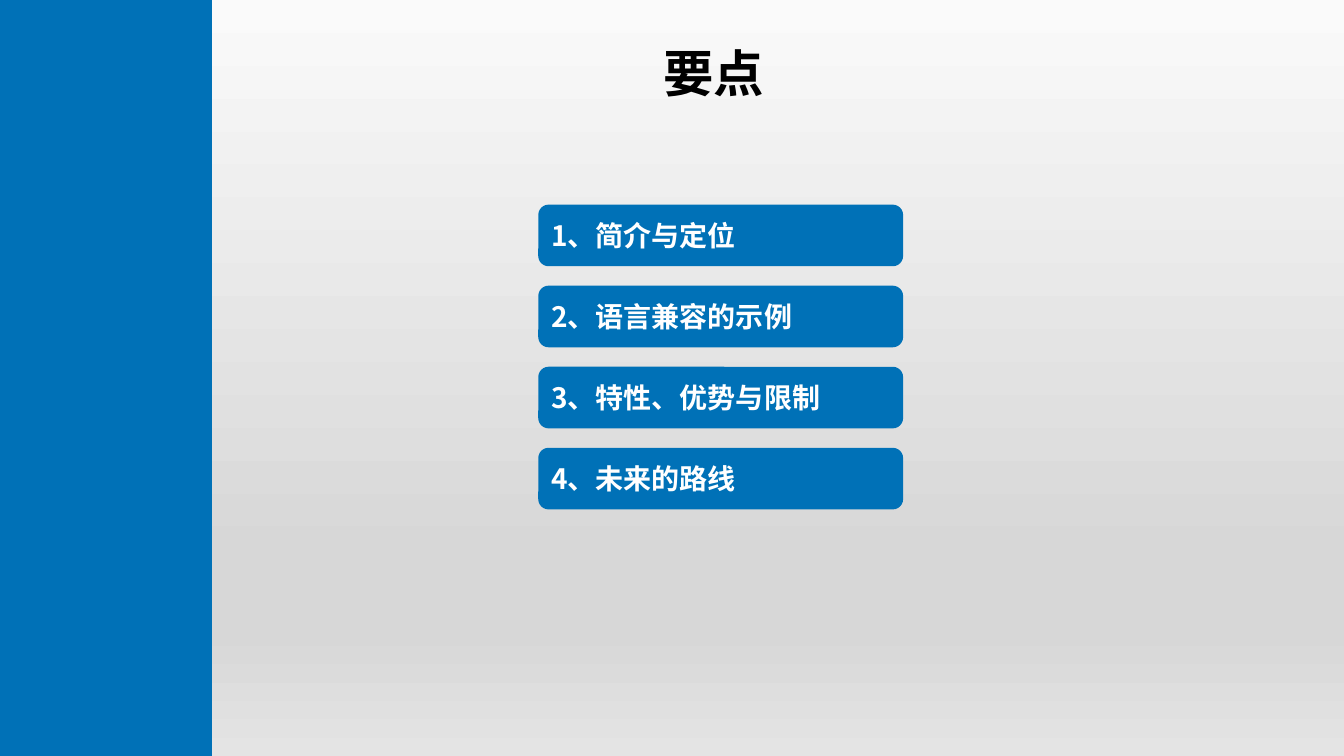
from copy import deepcopy
from dataclasses import dataclass

from lxml.etree import SubElement as Sub
from pptx import Presentation
from pptx.dml.color import RGBColor as Rgb
from pptx.enum.shapes import MSO_SHAPE as Kind
from pptx.enum.text import MSO_ANCHOR as Anchor, MSO_AUTO_SIZE as Auto, PP_ALIGN as Align
from pptx.oxml.ns import qn
from pptx.util import Pt


@dataclass(frozen=True)
class Theme:
    font: str = "Noto Sans CJK SC"
    blue: str = "0071B7"
    black: str = "000000"
    white: str = "FFFFFF"
    fade: tuple = ((0, "FAFAFA"), (0.74, "D7D7D7"), (0.83, "D7D7D7"), (1, "E4E4E4"))
    head: int = 36
    item: int = 20


def write(shape, text, *, font, size, color, align=Align.LEFT):
    frame = shape.text_frame
    frame.word_wrap = True
    frame.auto_size = Auto.NONE
    frame.vertical_anchor = Anchor.MIDDLE
    para = frame.paragraphs[0]
    para.alignment = align
    run = para.add_run()
    run.text = text
    run.font.name = font
    run.font.size = Pt(size)
    run.font.bold = True
    run.font.color.rgb = Rgb.from_string(color)
    Sub(run.font._element, qn("a:ea"), typeface=font)


class Deck:
    def __init__(self, theme):
        self.theme = theme
        self.file = Presentation()
        self.file.slide_width, self.file.slide_height = Pt(960), Pt(540)
        self.slide = self.file.slides.add_slide(self.file.slide_layouts[5])

    def ground(self):
        fill = self.slide.background.fill
        fill.solid()
        fill.fore_color.rgb = Rgb.from_string(self.theme.blue)

    def shape(self, kind, *box):
        shape = self.slide.shapes.add_shape(kind, *map(Pt, box))
        shape.shadow.inherit = False
        shape.line.fill.background()
        return shape

    def panel(self, *box):
        panel = self.shape(Kind.RECTANGLE, *box)
        fill = panel.fill
        fill.gradient()
        fill.gradient_angle = 270
        stops = panel._element.spPr.find(".//" + qn("a:gsLst"))
        for _ in self.theme.fade[2:]:
            stops.append(deepcopy(stops[0]))
        for stop, (place, color) in zip(fill.gradient_stops, self.theme.fade):
            stop.position = place
            stop.color.rgb = Rgb.from_string(color)
        self.slide.shapes._spTree.insert(2, panel._element)

    def title(self, text, *box):
        title = self.slide.shapes.title
        title.left, title.top, title.width, title.height = map(Pt, box)
        look = self.theme
        write(title, text, font=look.font, size=look.head, color=look.black, align=Align.CENTER)

    def item(self, text, *box):
        look = self.theme
        item = self.shape(Kind.ROUNDED_RECTANGLE, *box)
        item.fill.solid()
        item.fill.fore_color.rgb = Rgb.from_string(look.blue)
        write(item, text, font=look.font, size=look.item, color=look.white)


def main():
    deck = Deck(Theme())
    deck.ground()
    deck.panel(151.4, 0, 808.6, 540)
    deck.title("要点", 424, 26, 171.5, 51)
    topics = ("简介与定位", "语言兼容的示例", "特性、优势与限制", "未来的路线")
    for row, topic in enumerate(topics):
        deck.item(f"{row + 1}、{topic}", 384.5, 146.2 + 57.9 * row, 260.6, 44)
    deck.file.save("out.pptx")


if __name__ == "__main__":
    main()
